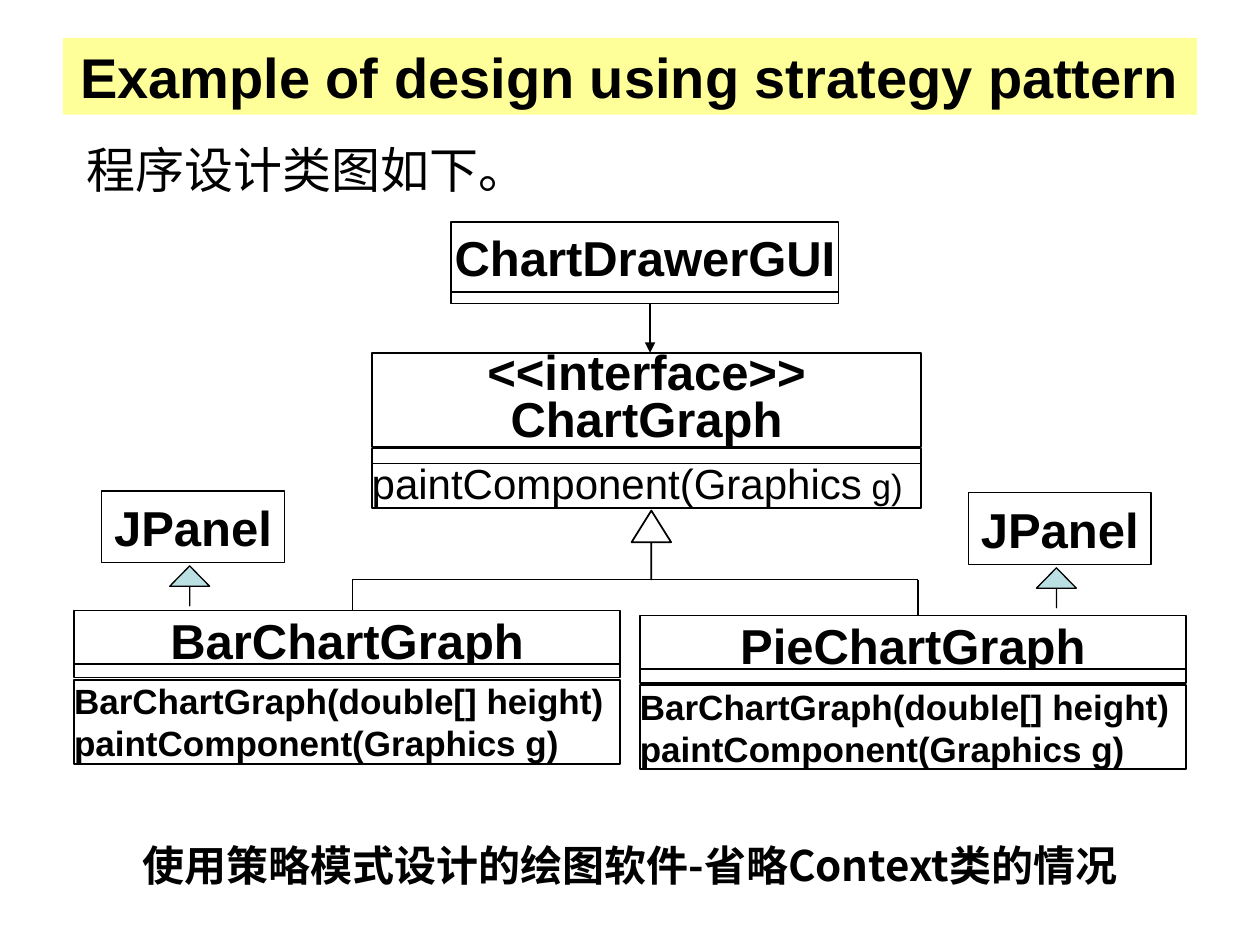
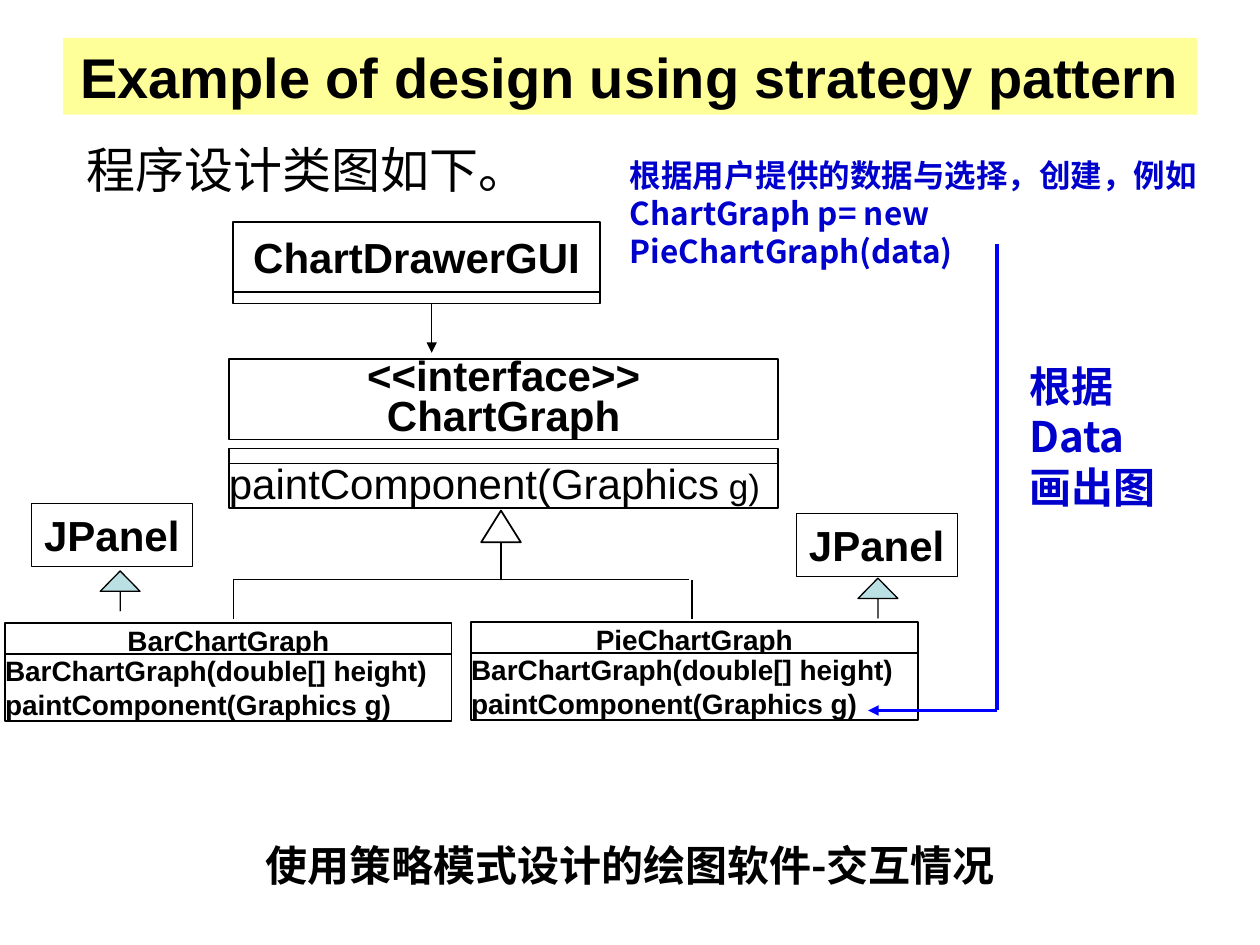
from pptx import Presentation
from pptx.dml.color import RGBColor
from pptx.enum import shapes, text
from pptx.oxml import ns
from pptx.util import Pt
from lxml import etree

# Shared look
BLACK, WHITE, BAND = "000000", "FFFFFF", "FFFF99"
TEAL, NOTE_BLUE, ARROW_BLUE = "BBE0E3", "0000CC", "0000FF"
LATIN, CHINESE = "Arial", "Noto Sans CJK SC"
ALIGN = text.PP_ALIGN
RECTANGLE = shapes.MSO_SHAPE.RECTANGLE
BAR_Y = 331.2
CONSTRUCTOR = "BarChartGraph(double[] height)"
METHOD = "paintComponent(Graphics g)"


def color(code):
    return RGBColor.from_string(code)


def write(box, lines, size, bold=True, font=LATIN, ink=BLACK, align=ALIGN.CENTER,
          spacing=None, anchor=text.MSO_ANCHOR.MIDDLE, inset=(0, 0), wrap=True):
    frame = box.text_frame
    frame.word_wrap = wrap
    frame.vertical_anchor = anchor
    frame.margin_left = frame.margin_right = Pt(inset[0])
    frame.margin_top = frame.margin_bottom = Pt(inset[1])
    for index, line in enumerate(lines):
        para = frame.paragraphs[0] if index == 0 else frame.add_paragraph()
        para.add_run().text = line
        para.alignment = align
        if spacing:
            para.line_spacing = spacing
        para.font.size = Pt(size)
        para.font.bold = bold
        para.font.color.rgb = color(ink)
        para.font.name = font
        defaults = para._p.pPr.find(ns.qn("a:defRPr"))
        etree.SubElement(defaults, ns.qn("a:ea")).set("typeface", font)


def shape(page, kind, left, top, width, height, fill=WHITE, line=1):
    item = page.shapes.add_shape(kind, Pt(left), Pt(top), Pt(width), Pt(height))
    item.shadow.inherit = False
    if fill:
        item.fill.solid()
        item.fill.fore_color.rgb = color(fill)
    else:
        item.fill.background()
    if line:
        item.line.color.rgb = color(BLACK)
        item.line.width = Pt(line)
    else:
        item.line.fill.background()
    return item


def rectangle(page, *bounds, **style):
    return shape(page, RECTANGLE, *bounds, **style)


def label(page, left, top, width, height, lines, size, **style):
    box = page.shapes.add_textbox(Pt(left), Pt(top), Pt(width), Pt(height))
    style = {"font": CHINESE, "align": ALIGN.LEFT, "inset": (7.2, 3.6),
             "anchor": text.MSO_ANCHOR.TOP, **style}
    write(box, lines, size, **style)


def line(page, x1, y1, x2, y2, ink=BLACK, width=1.0, arrow=False):
    link = page.shapes.add_connector(shapes.MSO_CONNECTOR.STRAIGHT,
                                     Pt(x1), Pt(y1), Pt(x2), Pt(y2))
    link.line.color.rgb = color(ink)
    link.line.width = Pt(width)
    if arrow:
        etree.SubElement(link.line._get_or_add_ln(), ns.qn("a:tailEnd")).set("type", "triangle")
    etree.SubElement(link._element.spPr, ns.qn("a:effectLst"))


def up_arrow(page, left, top, width, height, head, **style):
    arrow = shape(page, shapes.MSO_SHAPE.UP_ARROW, left, top, width, height, **style)
    arrow.adjustments[0] = 0
    arrow.adjustments[1] = head


# Class diagram parts
def drawer_class(page, left, width, size, arrow_x):
    line(page, arrow_x, 162, arrow_x, 201.6, width=0.75, arrow=True)
    write(rectangle(page, left, 126.7, width, 40.3), ["ChartDrawerGUI"], size)
    rectangle(page, left, 167, width, 6.5)


def interface_class(page, left, top, height, size):
    width = 314
    name = rectangle(page, left, top, width, height)
    write(name, ["<<interface>>", "ChartGraph"], size, spacing=0.8)
    method = rectangle(page, left, 261.4, width, 28.8)
    write(method, ["paintComponent(Graphics"], 24, bold=False, align=ALIGN.JUSTIFY)
    span = method.text_frame.paragraphs[0].add_run()
    span.text = " g)"
    span.font.size = Pt(20)
    rectangle(page, left, 256.3, width, 8.6)


def inheritance(page, arrow_left, bar_left, bar_right, drop_x):
    line(page, bar_left, BAR_Y, bar_right, BAR_Y)
    for x in (bar_left, drop_x):
        line(page, x, BAR_Y, x, 354)
    up_arrow(page, arrow_left, 291.8, 22.6, 39.4, 0.8)


def graph_class(page, name, left, top, width, name_height, name_size,
                body_drop, body_height, body_size, strip_drop=None):
    write(rectangle(page, left, top, width, name_height), [name], name_size)
    body = rectangle(page, left, top + body_drop, width, body_height)
    write(body, [CONSTRUCTOR, METHOD], body_size, align=ALIGN.JUSTIFY)
    if strip_drop:
        rectangle(page, left, top + strip_drop, width, 7.9)


def panel_class(page, left, top, width, height, size, arrow_left, arrow_top):
    box = rectangle(page, left, top, width, height, fill=None, line=0.75)
    write(box, ["JPanel"], size, align=ALIGN.LEFT, inset=(7.2, 3.6), wrap=False)
    up_arrow(page, arrow_left, arrow_top, 22.8, 22.8, 0.51, fill=TEAL, line=0.75)


# Slides
def new_page(deck, caption):
    page = deck.slides.add_slide(deck.slide_layouts[6])
    title = rectangle(page, 36, 21.6, 648, 44, fill=BAND, line=None)
    write(title, ["Example of design using strategy pattern"], 32)
    label(page, 42.5, 82.8, 265.7, 34.6, ["程序设计类图如下。"], 28,
          bold=False, spacing=0.8, wrap=False)
    label(page, 36, 479.5, 648, 39.6, [caption], 24, align=ALIGN.CENTER, spacing=0.9)
    return page


def class_page(deck):
    page = new_page(deck, "使用策略模式设计的绘图软件-省略Context类的情况")
    drawer_class(page, 257.8, 221.4, 28, 371.5)
    interface_class(page, 212.4, 201.6, 54, 28)
    inheritance(page, 360.9, 201.4, 524.7, 524.4)
    for name, left, top in (("BarChartGraph", 42.3, 348.9), ("PieChartGraph", 365.6, 351.8)):
        graph_class(page, name, left, top, 312, 33.8, 28, 39.6, 48.2, 20, strip_drop=30.4)
    panel_class(page, 58.1, 280.6, 104.4, 41, 28, 97, 323.4)
    panel_class(page, 553.4, 281.5, 104.4, 41, 28, 592.3, 324.5)


def interaction_page(deck):
    page = new_page(deck, "使用策略模式设计的绘图软件-交互情况")
    drawer_class(page, 133.2, 209.7, 24, 246.7)
    interface_class(page, 130.8, 205.2, 46, 24)
    inheritance(page, 275, 133.4, 393.8, 395.3)
    for name, left, top in (("BarChartGraph", 2.9, 356), ("PieChartGraph", 269.2, 355.4)):
        graph_class(page, name, left, top, 255.2, 19.4, 16, 17.8, 38.2, 16)
    panel_class(page, 18.1, 287.6, 91.8, 36, 24, 57.3, 326.3)
    panel_class(page, 455.2, 293.4, 91.8, 36, 24, 490.3, 330.4)

    # Notes on creating and drawing the chart
    label(page, 360, 88.6, 345.6, 66.2,
          ["根据用户提供的数据与选择，创建，例如", "ChartGraph p= new PieChartGraph(data)"],
          18, ink=NOTE_BLUE, inset=(0, 0.72))
    label(page, 581, 202.3, 102.2, 93.6, ["根据Data", "画出图"], 24, ink=NOTE_BLUE)
    line(page, 569.6, 139.7, 569.6, 406, ARROW_BLUE, 2)
    line(page, 569.6, 406, 496.1, 406, ARROW_BLUE, 2, arrow=True)


def main():
    deck = Presentation()
    deck.slide_width, deck.slide_height = Pt(720), Pt(540)
    class_page(deck)
    interaction_page(deck)
    deck.save("out.pptx")


if __name__ == "__main__":
    main()
